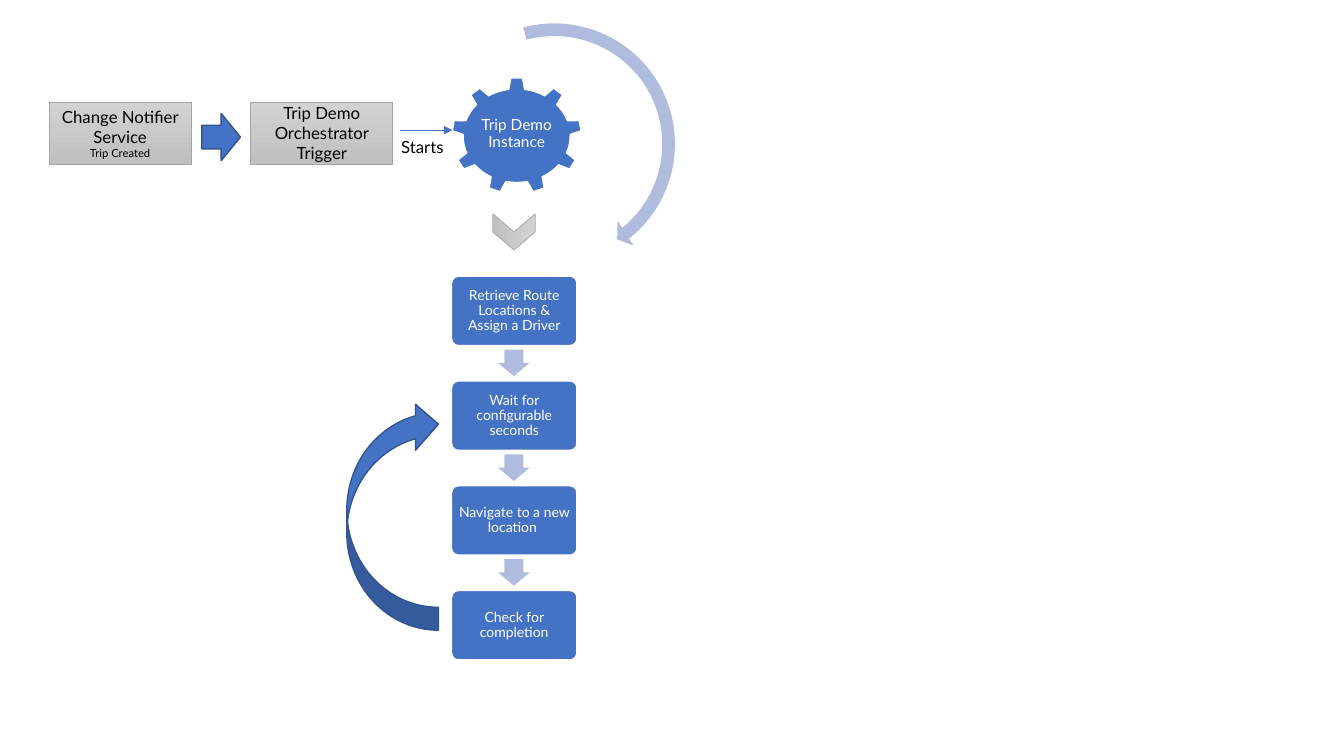
import dataclasses
import math

import pptx
import pptx.dml.color
import pptx.enum.shapes
import pptx.enum.text
import pptx.oxml
import pptx.util

Cm = pptx.util.Cm
Pt = pptx.util.Pt
SHAPE = pptx.enum.shapes.MSO_SHAPE


@dataclasses.dataclass(frozen=True)
class Theme:
    """Colours, font and type sizes of the slide."""

    blue: str = "4472C4"
    edge: str = "325491"
    pale: str = "B0BCDE"
    white: str = "FFFFFF"
    black: str = "000000"
    silver: tuple = ("D2D2D2", "C0C0C0")
    silver_edge: str = "A5A5A5"
    font: str = "Lato"
    label: int = 12
    gear: int = 11
    step: int = 10
    note: int = 8


THEME = Theme()


def rgb(code):
    """Return the colour for a hex code."""
    return pptx.dml.color.RGBColor.from_string(code)


def paint(shape, fill, edge=None, width=1):
    """Fill a shape with one colour or a vertical pair, and outline it."""
    shape.shadow.inherit = False
    if isinstance(fill, tuple):
        shape.fill.gradient()
        shape.fill.gradient_angle = 270
        for stop, code in zip(shape.fill.gradient_stops, fill):
            stop.color.rgb = rgb(code)
    else:
        shape.fill.solid()
        shape.fill.fore_color.rgb = rgb(fill)
    if edge:
        shape.line.color.rgb = rgb(edge)
        shape.line.width = Pt(width)
    else:
        shape.line.fill.background()


def add_figure(page, kind, place, fill, edge=None, width=1, turn=0, adjust=()):
    """Add a preset shape at a place given in centimetres."""
    figure = page.shapes.add_shape(kind, *map(Cm, place))
    for index, value in enumerate(adjust):
        figure.adjustments[index] = value
    figure.rotation = turn
    paint(figure, fill, edge, width)
    return figure


def write(shape, lines, colour, spacing=None, insets=None):
    """Write centred lines, each a pair of wording and type size."""
    frame = shape.text_frame
    frame.word_wrap = True
    frame.vertical_anchor = pptx.enum.text.MSO_ANCHOR.MIDDLE
    if insets:
        (frame.margin_left, frame.margin_top,
         frame.margin_right, frame.margin_bottom) = map(Cm, insets)
    frame.text = "\n".join(wording for wording, size in lines)
    for para, (wording, size) in zip(frame.paragraphs, lines):
        para.alignment = pptx.enum.text.PP_ALIGN.CENTER
        para.line_spacing = spacing
        for span in para.runs:
            span.font.name = THEME.font
            span.font.size = Pt(size)
            span.font.color.rgb = rgb(colour)


def add_service(page, left, lines):
    """Add a grey service box."""
    box = add_figure(page, SHAPE.RECTANGLE, (left, 2.57, 3.58, 1.57),
                     THEME.silver, THEME.silver_edge, 0.5)
    write(box, lines, THEME.black)


def gear_points(centre, body, tip, teeth=9):
    """Return the outline of a gear with teeth spread evenly on an ellipse."""
    pitch = 360 / teeth
    points = []
    for tooth in range(teeth):
        middle = tooth * pitch
        corners = [(body, -8.5), (tip, -5.2), (tip, 5.2)]
        corners += [(body, 8.5 + (pitch - 17) * part / 6) for part in range(6)]
        for (across, down), offset in corners:
            angle = math.radians(middle + offset)
            points.append((Cm(centre[0] + across * math.sin(angle)),
                           Cm(centre[1] - down * math.cos(angle))))
    return points


def add_gear(page, wording):
    """Add the gear that stands for the running instance."""
    points = gear_points((13.02, 3.42), (1.35, 1.18), (1.63, 1.46))
    builder = page.shapes.build_freeform(*points[0])
    builder.add_line_segments(points[1:], close=True)
    gear = builder.convert_to_shape()
    paint(gear, THEME.blue, THEME.white)
    write(gear, [(wording, THEME.gear)], THEME.white, 0.9, (0.66, 0.74, 0.66, 0.79))


def add_steps(page, steps):
    """Stack the steps with a pale arrow between neighbours."""
    for index, wording in enumerate(steps):
        top = 6.96 + index * 2.64
        if index:
            add_figure(page, SHAPE.DOWN_ARROW, (12.55, top - 0.79, 0.8, 0.67),
                       THEME.pale, adjust=(0.6, 0.5))
        box = add_figure(page, SHAPE.ROUNDED_RECTANGLE, (11.38, top, 3.16, 1.75),
                         THEME.blue, THEME.white, adjust=(0.1,))
        write(box, [(wording, THEME.step)], THEME.white, 0.9, (0.1,) * 4)


def add_arrow(page, start, end):
    """Add a thin straight arrow."""
    arrow = page.shapes.add_connector(
        pptx.enum.shapes.MSO_CONNECTOR.STRAIGHT, *map(Cm, start + end))
    arrow.line.color.rgb = rgb(THEME.blue)
    arrow.line.width = Pt(0.5)
    space = pptx.oxml.ns.nsdecls("a")
    arrow.line._get_or_add_ln().append(
        pptx.oxml.parse_xml(f'<a:tailEnd {space} type="triangle"/>'))
    arrow._element.spPr.append(pptx.oxml.parse_xml(f"<a:effectLst {space}/>"))


def add_label(page, place, wording):
    """Add a plain text label."""
    label = page.shapes.add_textbox(*map(Cm, place))
    write(label, [(wording, THEME.label)], THEME.black)


def main():
    """Build the trip orchestration slide."""
    deck = pptx.Presentation()
    deck.slide_width, deck.slide_height = Cm(33.87), Cm(19.05)
    page = deck.slides.add_slide(deck.slide_layouts[6])

    add_service(page, 1.24, [("Change Notifier Service", THEME.label),
                             ("Trip Created", THEME.note)])
    add_service(page, 6.32, [("Trip Demo Orchestrator Trigger", THEME.label)])
    add_gear(page, "Trip Demo Instance")
    add_figure(page, SHAPE.CIRCULAR_ARROW, (10.72, 0.38, 6.5, 6.5), THEME.pale,
               adjust=(0.049, 3.126, 30.823, 153.055, 0.057))
    add_steps(page, ["Retrieve Route Locations & Assign a Driver",
                     "Wait for configurable seconds",
                     "Navigate to a new location ",
                     "Check for completion"])
    add_figure(page, SHAPE.CURVED_LEFT_ARROW, (8.74, 10.11, 2.31, 5.77),
               THEME.blue, THEME.edge, turn=180)
    add_figure(page, SHAPE.RIGHT_ARROW, (5.09, 2.86, 0.97, 1.19),
               THEME.blue, THEME.edge)
    add_arrow(page, (10.08, 3.28), (11.4, 3.28))
    add_label(page, (8.59, 3.33, 4.11, 0.76), "Starts")
    add_figure(page, SHAPE.CHEVRON, (12.5, 5.31, 0.91, 1.07),
               THEME.silver, THEME.silver_edge, 0.5, turn=90)
    deck.save("out.pptx")


if __name__ == "__main__":
    main()
